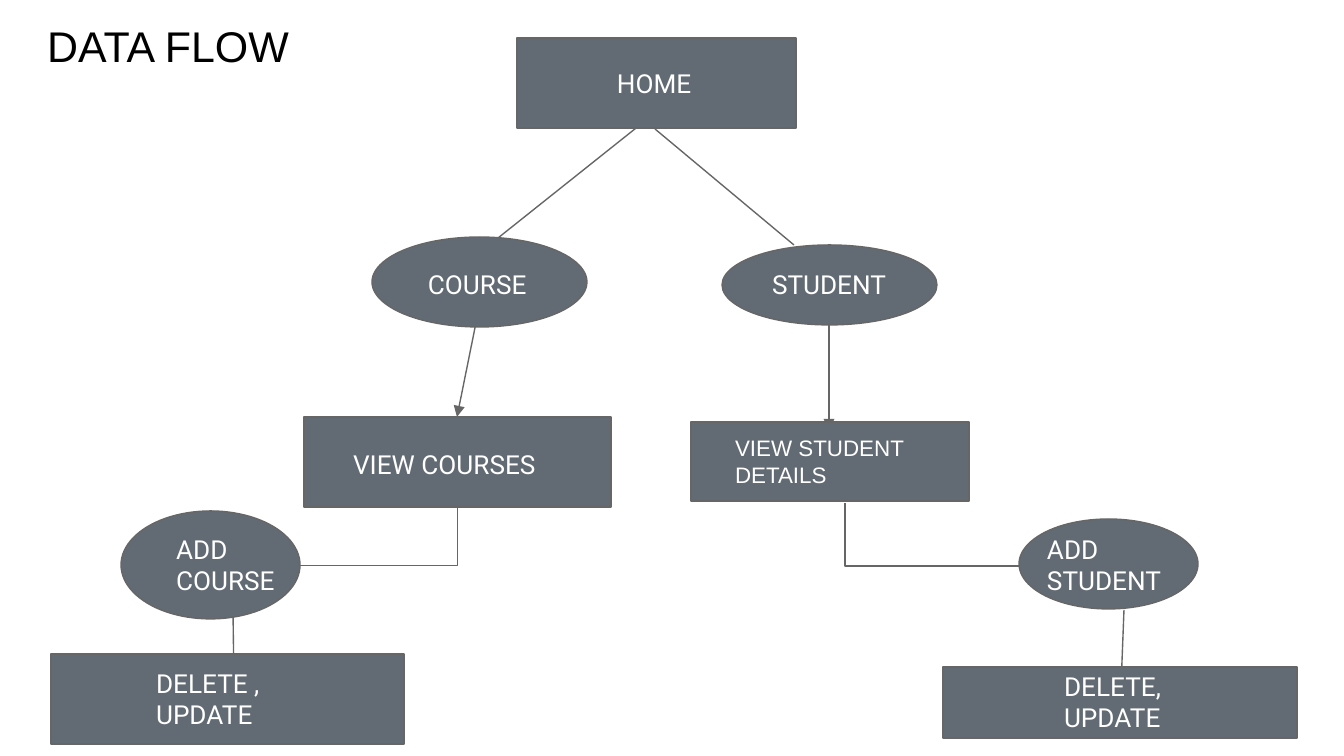
"""Build the data flow slide."""
from pptx import Presentation
from pptx.dml.color import RGBColor
from pptx.enum.shapes import MSO_CONNECTOR as Link, MSO_SHAPE as Kind
from pptx.enum.text import MSO_ANCHOR as Anchor, PP_ALIGN as Align
from pptx.oxml.ns import qn
from pptx.util import Pt
from lxml.etree import SubElement

PX = 914400 / 134.4
GREY, EDGE, WHITE, BLACK = "626B73", "666666", "FFFFFF", "000000"


def paint(part, tone):
    part.solid() if hasattr(part, "solid") else None
    color = part.fore_color if hasattr(part, "fore_color") else part.color
    color.rgb = RGBColor.from_string(tone)


def write(box, rows, size, face, tone):
    frame = box.text_frame
    frame.word_wrap = True
    frame.vertical_anchor = Anchor.TOP
    frame.margin_left = frame.margin_right = round(13 * PX)
    frame.margin_top = frame.margin_bottom = round(13 * PX)
    for i, row in enumerate(rows):
        para = frame.add_paragraph() if i else frame.paragraphs[0]
        para.alignment = Align.LEFT
        run = para.add_run()
        run.text = row
        run.font.size, run.font.name = Pt(size), face
        paint(run.font, tone)


deck = Presentation()
deck.slide_width, deck.slide_height = round(1344 * PX), round(756 * PX)
slide = deck.slides.add_slide(deck.slide_layouts[5])
shapes = slide.shapes

title = shapes.title
title.left, title.top, title.width, title.height = [
    round(v * PX) for v in (34, 7, 353, 79)]
write(title, ["DATA FLOW"], 23, "Arial", BLACK)

lines = [
    (655, 113, 493, 242, False),
    (655, 129, 794, 245, False),
    (829, 313, 829, 430, True),
    (478, 313, 457, 417, True),
    (233, 610, 234, 684, False),
    (1124, 610, 1121, 688, False),
]
bends = [(340, 448, 71, 164, 90, False), (915, 433, 63, 203, 270, True)]

links = []
for x1, y1, x2, y2, head in lines:
    ends = [round(v * PX) for v in (x1, y1, x2, y2)]
    links.append((shapes.add_connector(Link.STRAIGHT, *ends), head))
for x, y, w, h, turn, flip in bends:
    x1, x2 = (x + w, x) if flip else (x, x + w)
    ends = [round(v * PX) for v in (x1, y, x2, y + h)]
    bend = shapes.add_connector(Link.ELBOW, *ends)
    props = bend._element.spPr
    props.find(qn("a:xfrm")).set("rot", str(turn * 60000))
    props.find(qn("a:prstGeom")).set("prst", "bentConnector2")
    links.append((bend, False))
for link, head in links:
    link.line.width = Pt(0.75)
    paint(link.line, EDGE)
    if head:
        SubElement(link.line._get_or_add_ln(), qn("a:tailEnd"), type="triangle")
    SubElement(link._element.spPr, qn("a:effectLst"))

RECT, OVAL = Kind.RECTANGLE, Kind.OVAL
nodes = [
    (RECT, (517, 38, 279, 90), ["HOME"], (604, 54, 140, 59)),
    (OVAL, (372, 237, 215, 90), ["COURSE"], (415, 255, 129, 59)),
    (OVAL, (722, 245, 215, 80), ["STUDENT"], (759, 255, 141, 59)),
    (RECT, (304, 417, 307, 90), ["VIEW COURSES"], (340, 435, 235, 59)),
    (RECT, (691, 422, 278, 79), ["VIEW STUDENT DETAILS"], (722, 421, 246, 82)),
    (OVAL, (121, 511, 179, 108), ["ADD COURSE"], (163, 520, 141, 90)),
    (OVAL, (1019, 519, 179, 90), ["ADD STUDENT"], (1034, 520, 179, 90)),
    (RECT, (51, 654, 353, 90), ["DELETE ,", "UPDATE"], (143, 654, 179, 90)),
    (RECT, (943, 667, 354, 71), ["DELETE,", "UPDATE"], (1051, 657, 164, 90)),
]
for kind, place, rows, spot in nodes:
    node = shapes.add_shape(kind, *[round(v * PX) for v in place])
    node.shadow.inherit = False
    node.line.width = Pt(0.75)
    paint(node.fill, GREY)
    paint(node.line, EDGE)
    label = shapes.add_textbox(*[round(v * PX) for v in spot])
    size, face = (12, "Arial") if "DETAILS" in rows[0] else (14, "Roboto")
    write(label, rows, size, face, WHITE)

deck.save("out.pptx")
